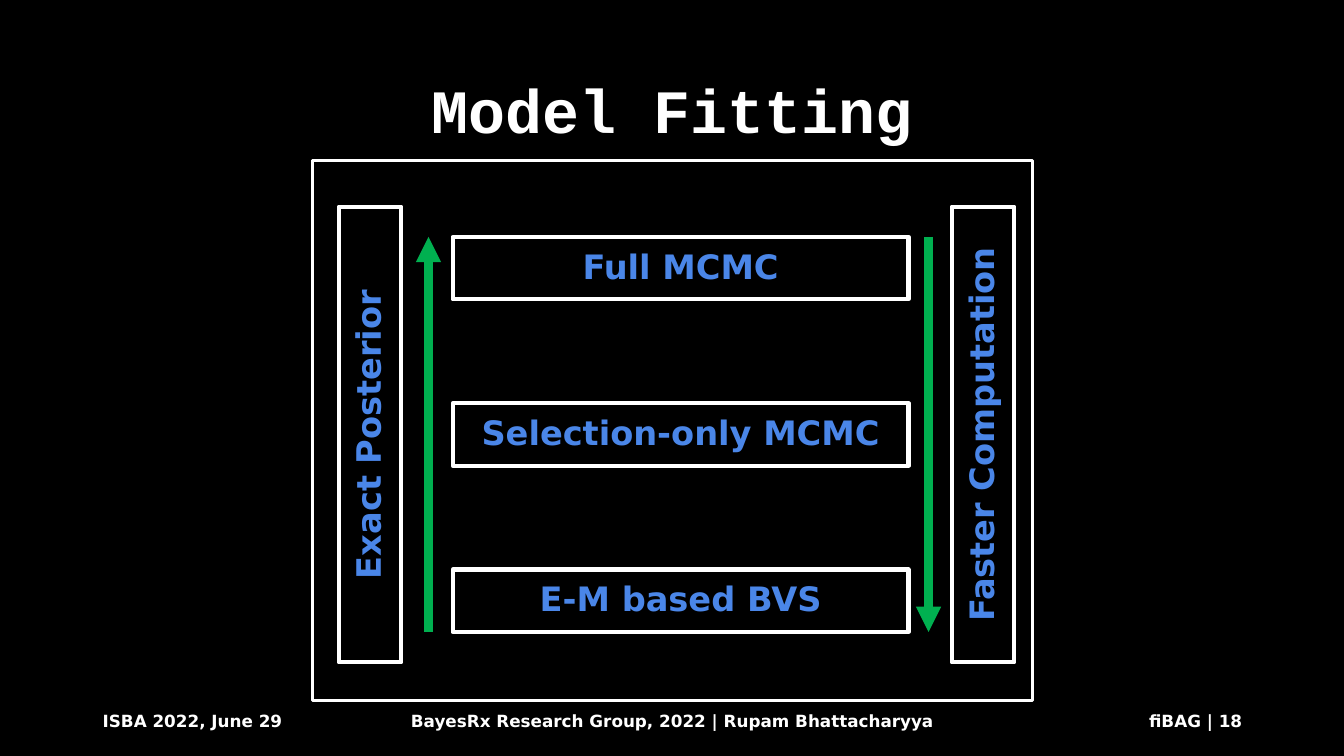
from dataclasses import dataclass

from lxml import etree
from pptx import Presentation
from pptx.dml.color import RGBColor
from pptx.enum.shapes import MSO_CONNECTOR, MSO_SHAPE
from pptx.enum.text import MSO_ANCHOR, PP_ALIGN
from pptx.oxml.ns import qn
from pptx.util import Emu, Pt

EMU_PER_PX = 9144  # 100 px to the inch


@dataclass(frozen=True)
class Theme:
    background: RGBColor = RGBColor(0x00, 0x00, 0x00)
    white: RGBColor = RGBColor(0xFF, 0xFF, 0xFF)
    label: RGBColor = RGBColor(0x4A, 0x86, 0xE8)
    arrow: RGBColor = RGBColor(0x00, 0xB0, 0x50)
    title_font: str = "Courier New"
    body_font: str = "DejaVu Sans"
    title_size: int = 44
    label_size: int = 24
    footer_size: int = 12
    frame_line: int = 2
    box_line: int = 3
    arrow_line: int = 6


THEME = Theme()

METHODS = ["Full MCMC", "Selection-only MCMC", "E-M based BVS"]
BOX_LEFT, BOX_TOP, BOX_W, BOX_H = 449, 235, 452, 62
BOX_STEP = 165
MIDDLE_TOP = BOX_TOP + BOX_STEP
STACK_BOTTOM = BOX_TOP + BOX_STEP * (len(METHODS) - 1) + BOX_H


def px(*lengths):
    return [Emu(n * EMU_PER_PX) for n in lengths]


def set_text(s, text, size, color, font=THEME.body_font,
             align=PP_ALIGN.CENTER, spacing=None):
    tf = s.text_frame
    tf.word_wrap = True
    tf.vertical_anchor = MSO_ANCHOR.MIDDLE
    tf.text = text
    p = tf.paragraphs[0]
    p.alignment = align
    p.line_spacing = spacing
    r = p.runs[0]
    r.font.name = font
    r.font.size = Pt(size)
    r.font.bold = True
    r.font.color.rgb = color


def add_title(slide, text):
    s = slide.shapes.add_textbox(*px(92, 40, 1150, 145))
    set_text(s, text, THEME.title_size, THEME.white, THEME.title_font,
             spacing=0.9)


def add_footer(slide, text, left, width, align):
    s = slide.shapes.add_textbox(*px(left, 695, width, 40))
    set_text(s, text, THEME.footer_size, THEME.white, align=align)


def add_outline(slide, left, top, width, height, weight):
    s = slide.shapes.add_shape(MSO_SHAPE.RECTANGLE,
                               *px(left, top, width, height))
    s.shadow.inherit = False
    s.fill.background()
    s.line.color.rgb = THEME.white
    s.line.width = Pt(weight)
    return s


def add_label_box(slide, text, left, top, rotation=0):
    s = add_outline(slide, left, top, BOX_W, BOX_H, THEME.box_line)
    s.rotation = rotation
    set_text(s, text, THEME.label_size, THEME.label, spacing=0.9)


def add_vertical_arrow(slide, x, start, end):
    s = slide.shapes.add_connector(MSO_CONNECTOR.STRAIGHT,
                                   *px(x, start, x, end))
    s.line.color.rgb = THEME.arrow
    s.line.width = Pt(THEME.arrow_line)
    etree.SubElement(s.line._get_or_add_ln(), qn("a:tailEnd"),
                     type="triangle")
    etree.SubElement(s._element.spPr, qn("a:effectLst"))


def main():
    prs = Presentation()
    prs.slide_width, prs.slide_height = px(1333, 750)
    slide = prs.slides.add_slide(prs.slide_layouts[6])
    fill = slide.background.fill
    fill.solid()
    fill.fore_color.rgb = THEME.background

    add_footer(slide, "ISBA 2022, June 29", 92, 300, PP_ALIGN.LEFT)
    add_footer(slide, "BayesRx Research Group, 2022 | Rupam Bhattacharyya",
               342, 650, PP_ALIGN.CENTER)
    add_title(slide, "Model Fitting")
    add_footer(slide, "fiBAG | 18", 942, 300, PP_ALIGN.RIGHT)

    for i, method in enumerate(METHODS):
        add_label_box(slide, method, BOX_LEFT, BOX_TOP + i * BOX_STEP)
    add_vertical_arrow(slide, 425, STACK_BOTTOM, BOX_TOP)
    add_vertical_arrow(slide, 921, BOX_TOP, STACK_BOTTOM)
    add_label_box(slide, "Exact Posterior", 141, MIDDLE_TOP, rotation=270)
    add_label_box(slide, "Faster Computation", 749, MIDDLE_TOP, rotation=270)
    add_outline(slide, 310, 159, 714, 536, THEME.frame_line)

    prs.save("out.pptx")


if __name__ == "__main__":
    main()
